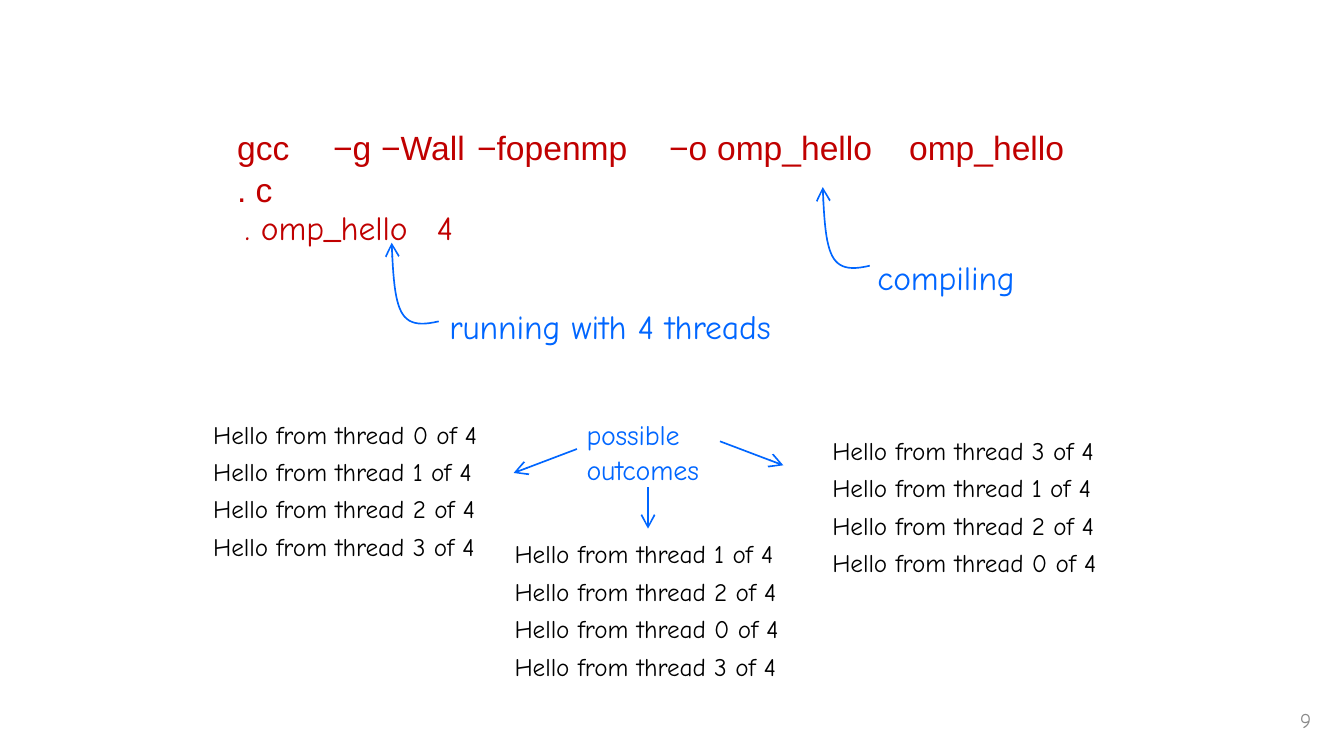
from lxml import etree
from pptx import Presentation
from pptx.dml.color import RGBColor
from pptx.enum.shapes import MSO_CONNECTOR
from pptx.enum.text import MSO_ANCHOR, PP_ALIGN
from pptx.oxml.ns import qn
from pptx.util import Inches, Pt

STRAIGHT = MSO_CONNECTOR.STRAIGHT
LEFT, RIGHT = PP_ALIGN.LEFT, PP_ALIGN.RIGHT
TOP, MIDDLE = MSO_ANCHOR.TOP, MSO_ANCHOR.MIDDLE

COLS, ROWS = 140, 78.8
CELL = 0.1
TAB_COLS = 12.5
LINE_SPACING = 1.05
HAND, SANS = "Comic Neue", "Arial"
COLORS = {"command": "C00000", "note": "0066FF", "output": "000000", "number": "898989"}
CURVE = [(4.9, 8.2), (0.7, 9.2), (0.3, 7.2), (0, 0)]
CURVE_STEPS = 24


def grid(n):
    return Inches(n * CELL)


def color(name):
    return RGBColor.from_string(COLORS[name])


def add_box(slide, left, top, width, height, anchor=TOP):
    tf = slide.shapes.add_textbox(*map(grid, (left, top, width, height))).text_frame
    tf.word_wrap = True
    tf.vertical_anchor = anchor
    tf.margin_left = tf.margin_right = tf.margin_top = tf.margin_bottom = 0
    return tf


def add_line(tf, text, size, ink, font=HAND, before=0, align=LEFT, indent=0.1, spc=-10):
    p = tf.paragraphs[0]
    if p.runs:
        p = tf.add_paragraph()
    p.text = text
    pPr = p._p.get_or_add_pPr()
    pPr.set("marL", str(grid(indent)))
    pPr.set("indent", "0")
    if "\t" in text:
        tabs = etree.SubElement(pPr, qn("a:tabLst"))
        for i in range(1, 7):
            etree.SubElement(tabs, qn("a:tab"), pos=str(grid(i * TAB_COLS)), algn="l")
    p.alignment = align
    p.line_spacing = LINE_SPACING
    p.space_before = Pt(before)
    for r in p.runs:
        r.font.name = font
        r.font.size = Pt(size)
        r.font.color.rgb = color(ink)
        r._r.get_or_add_rPr().set("spc", str(spc))


def style_arrow(line):
    line.color.rgb = color("note")
    line.width = Pt(1.25)
    ln = line._get_or_add_ln()
    etree.SubElement(ln, qn("a:tailEnd"), type="arrow", w="lg", len="lg")


def add_arrow(slide, start, end):
    c = slide.shapes.add_connector(STRAIGHT, *map(grid, start + end))
    style_arrow(c.line)
    etree.SubElement(c._element.spPr, qn("a:effectLst"))


def curve_point(t):
    weights = ((1 - t) ** 3, 3 * t * (1 - t) ** 2, 3 * t ** 2 * (1 - t), t ** 3)
    return [sum(w * pt[axis] for w, pt in zip(weights, CURVE)) for axis in (0, 1)]


def add_curved_arrow(slide, col, row):
    points = [curve_point(i / CURVE_STEPS) for i in range(CURVE_STEPS + 1)]
    points = [(grid(col + x), grid(row + y)) for x, y in points]
    fb = slide.shapes.build_freeform(*points[0])
    fb.add_line_segments(points[1:], close=False)
    sp = fb.convert_to_shape()
    sp.shadow.inherit = False
    sp.fill.background()
    style_arrow(sp.line)


def add_outcome(slide, col, row, threads):
    tf = add_box(slide, col, row, 31.2, 14.4)
    for i, thread in enumerate(threads):
        add_line(tf, f"Hello from thread {thread} of 4", 18.9, "output",
                 before=4.3 if i else 0, spc=-7)


def main():
    prs = Presentation()
    prs.slide_width, prs.slide_height = grid(COLS), grid(ROWS)
    slide = prs.slides.add_slide(prs.slide_layouts[6])

    tf = add_box(slide, 24.6, 13, 86.8, 8.4)
    add_line(tf, "gcc\t−g\t−Wall\t−fopenmp\t−o\tomp_hello\tomp_hello . c",
             25.2, "command", font=SANS, spc=0)

    tf = add_box(slide, 25.4, 21.4, 80.3, 14.2)
    add_line(tf, ". omp_hello\t4", 25.2, "command", spc=-5)
    add_line(tf, "compiling", 25.2, "note", before=5.2, align=RIGHT, indent=0)
    add_line(tf, "running with 4 threads", 25.2, "note", before=5.2, indent=21.4, spc=-6)

    tf = add_box(slide, 61, 43.3, 12.9, 7.1)
    for word in ("possible", "outcomes"):
        add_line(tf, word, 21, "note")

    for col, row, threads in ((22.1, 43.5, "0123"), (86.6, 45.2, "3120"), (53.5, 56, "1203")):
        add_outcome(slide, col, row, threads)

    for start, end in (((60.1, 46.8), (53.5, 49.3)),
                       ((75, 46), (81.6, 48.5)),
                       ((67.5, 50.8), (67.5, 55.1))):
        add_arrow(slide, start, end)

    for col, row in ((40.8, 25.3), (85.7, 19.5)):
        add_curved_arrow(slide, col, row)

    tf = add_box(slide, 103.9, 73.6, 32.7, 2.7, MIDDLE)
    add_line(tf, "9", 15.8, "number", align=RIGHT)

    prs.save("out.pptx")


if __name__ == "__main__":
    main()
